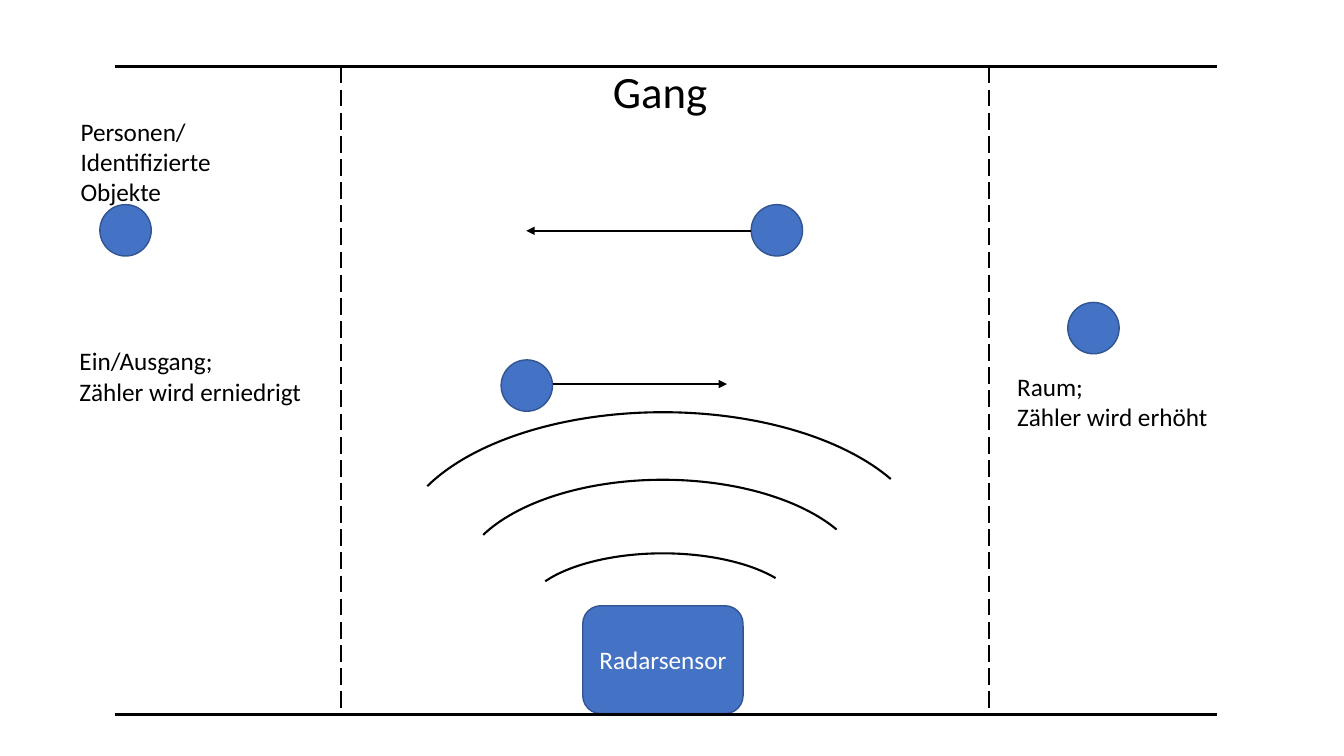
from lxml import etree
from pptx import Presentation
from pptx.dml.color import RGBColor
from pptx.enum import dml, shapes, text
from pptx.oxml import ns
from pptx.util import Inches, Pt


def color(value):
    return RGBColor.from_string(value)


def write(frame, words, size, ink, **layout):
    for key, value in layout.items():
        setattr(frame, key, value)
    frame.text = words
    for paragraph in frame.paragraphs:
        for run in paragraph.runs:
            for key, value in {"name": "Calibri", "size": Pt(size)}.items():
                setattr(run.font, key, value)
            run.font.color.rgb = color(ink)


BLUE, EDGE, BLACK, WHITE = "4472C4", "325491", "000000", "FFFFFF"
TOP, BOTTOM = 0.66, 7.09
LEFT, RIGHT = 1.14, 12.07
PERSON = 0.51

deck = Presentation()
deck.slide_width, deck.slide_height = Inches(13.33), Inches(7.5)
slide = deck.slides.add_slide(deck.slide_layouts[6])
canvas = slide.shapes

sensor_box = (5.78, 6.01, 1.59, 1.07)
people = [(4.97, 3.57), (7.45, 2.03), (10.59, 3), (0.99, 2.03)]
solids = [(shapes.MSO_SHAPE.ROUNDED_RECTANGLE, sensor_box)]
solids += [(shapes.MSO_SHAPE.OVAL, (x, y, PERSON, PERSON)) for x, y in people]
drawn = []
for preset, box in solids:
    solid = canvas.add_shape(preset, *map(Inches, box))
    solid.shadow.inherit = False
    solid.fill.solid()
    solid.fill.fore_color.rgb = color(BLUE)
    solid.line.color.rgb = color(EDGE)
    solid.line.width = Pt(1)
    drawn.append(solid)
write(drawn[0].text_frame, "Radarsensor", 18, WHITE, word_wrap=True,
      vertical_anchor=text.MSO_ANCHOR.MIDDLE)
drawn[0].text_frame.paragraphs[0].alignment = text.PP_ALIGN.CENTER

for box in [(5.19, 5.49, 2.77, 1.2), (4.55, 4.76, 4.05, 2.08), (3.93, 4.09, 5.29, 2.76)]:
    wave = canvas.add_shape(shapes.MSO_SHAPE.ARC, *map(Inches, box))
    wave.adjustments[0], wave.adjustments[1] = 117.28, 205.44
    wave.shadow.inherit = False
    wave.fill.background()
    wave.line.color.rgb = color(BLACK)
    wave.line.width = Pt(1.5)

lines = [((x, TOP, x, BOTTOM), 1.5, True, False) for x in (3.38, 9.81)]
lines += [((LEFT, y, RIGHT, y), 2.25, False, False) for y in (TOP, BOTTOM)]
lines += [(ends, 1.25, False, True)
          for ends in ((7.45, 2.29, 5.22, 2.29), (5.48, 3.81, 7.21, 3.81))]
for ends, width, dashed, arrow in lines:
    line = canvas.add_connector(shapes.MSO_CONNECTOR.STRAIGHT, *map(Inches, ends))
    line.line.color.rgb = color(BLACK)
    line.line.width = Pt(width)
    if dashed:
        line.line.dash_style = dml.MSO_LINE.LONG_DASH
    if arrow:
        etree.SubElement(line.line._get_or_add_ln(), ns.qn("a:tailEnd"), type="triangle")
    etree.SubElement(line._element.spPr, ns.qn("a:effectLst"))

labels = [
    ("Gang", (5.98, 0.58, 1.98, 0.64), 32),
    ("Raum; \vZähler wird erhöht", (9.99, 3.63, 2.23, 0.71), 18),
    ("Ein/Ausgang; \vZähler wird erniedrigt", (0.69, 3.38, 2.6, 0.71), 18),
    ("Personen/\vIdentifizierte Objekte", (0.7, 1.1, 1.91, 1.01), 18),
]
for words, box, size in labels:
    label = canvas.add_textbox(*map(Inches, box))
    write(label.text_frame, words, size, BLACK, word_wrap=True,
          auto_size=text.MSO_AUTO_SIZE.SHAPE_TO_FIT_TEXT)

deck.save("out.pptx")
